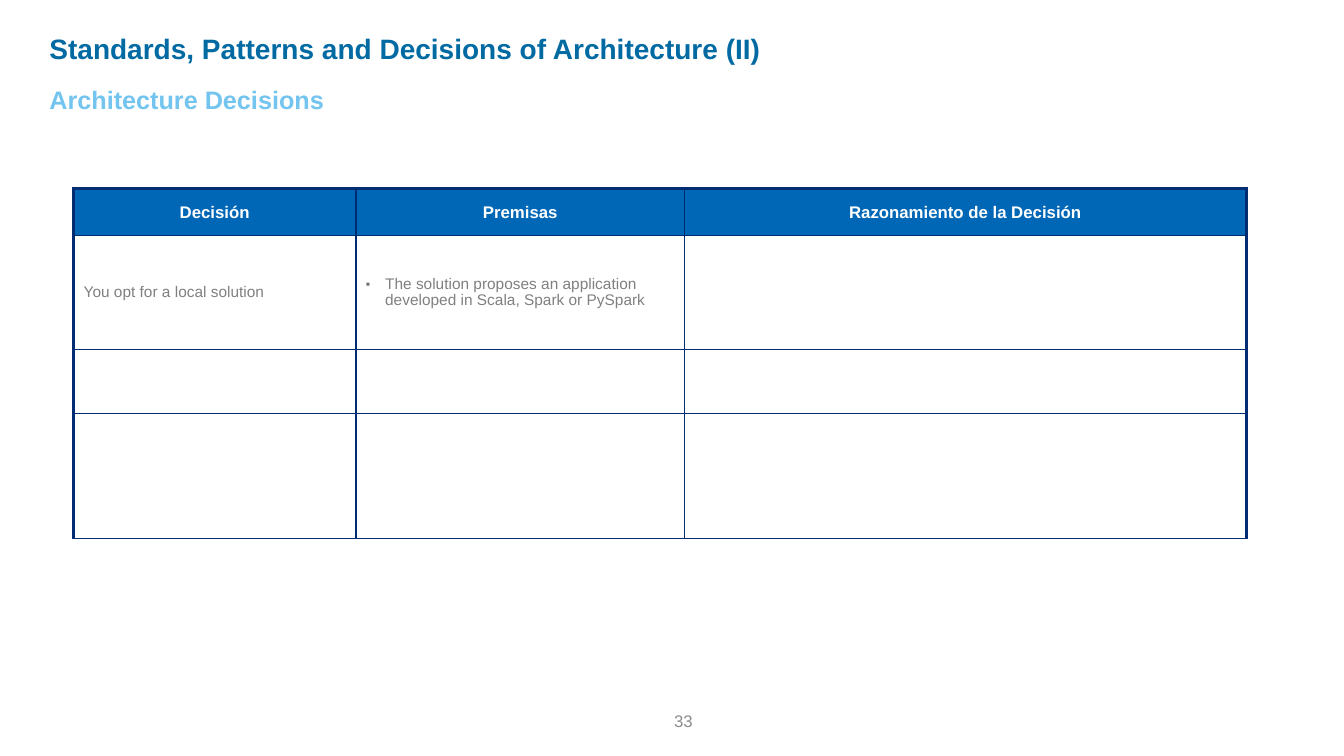
from pptx import Presentation
from pptx.dml.color import RGBColor
from pptx.enum.text import MSO_ANCHOR as Anchor, PP_ALIGN as Align
from pptx.oxml.ns import qn
from pptx.util import Pt
from lxml.etree import SubElement

PX = 9144
WHITE = RGBColor(0xFF, 0xFF, 0xFF)
TITLE = RGBColor(0x01, 0x6A, 0xA2)
SUBTITLE = RGBColor(0x73, 0xC4, 0xEF)
HEADER = RGBColor(0x00, 0x67, 0xB7)
NAVY = RGBColor(0x00, 0x2D, 0x72)
GREY = RGBColor(0x80, 0x80, 0x80)
BULLET = RGBColor(0x71, 0x71, 0x71)
NUMBER = RGBColor(0x8C, 0x8C, 0x8C)
THIN, THICK = 1, 2.25


class Deck:
    """Hold the font and the current slide, and draw each kind of element."""

    def __init__(self, width, height, font="Arial"):
        self.prs = Presentation()
        self.prs.slide_width, self.prs.slide_height = width * PX, height * PX
        self.s = self.prs.slides.add_slide(self.prs.slide_layouts[6])
        self.font = font

    def style(self, p, size, color, bold=False, align=Align.LEFT):
        p.alignment = align
        for r in p.runs:
            r.font.name, r.font.size, r.font.bold = self.font, Pt(size), bold
            r.font.color.rgb = color

    def text(self, box, text, size, color, inset=5, anchor=Anchor.TOP, **look):
        tf = self.s.shapes.add_textbox(*(v * PX for v in box)).text_frame
        tf.word_wrap = True
        tf.vertical_anchor = anchor
        tf.margin_left = tf.margin_right = inset * PX
        tf.margin_top = tf.margin_bottom = 5 * PX
        tf.text = text
        self.style(tf.paragraphs[0], size, color, **look)

    def borders(self, cell, widths):
        tcPr = cell._tc.get_or_add_tcPr()
        for side, width in widths.items():
            ln = SubElement(tcPr, qn(f"a:ln{side}"), w=str(Pt(width)))
            fill = SubElement(ln, qn("a:solidFill"))
            SubElement(fill, qn("a:srgbClr"), val=str(NAVY))

    def bullet(self, p, indent):
        pPr = p._p.get_or_add_pPr()
        pPr.set("marL", str(indent * PX))
        pPr.set("indent", str(-indent * PX))
        color = SubElement(pPr, qn("a:buClr"))
        SubElement(color, qn("a:srgbClr"), val=str(BULLET))
        SubElement(pPr, qn("a:buSzPct"), val="80000")
        SubElement(pPr, qn("a:buFont"), typeface=self.font)
        SubElement(pPr, qn("a:buChar"), char="▪")

    def table(self, left, top, widths, heights, rows, bulleted):
        size = sum(widths) * PX, sum(heights) * PX
        shapes = self.s.shapes
        table = shapes.add_table(len(heights), len(widths), left * PX, top * PX, *size).table
        table.horz_banding = False
        for column, width in zip(table.columns, widths):
            column.width = width * PX
        for row, height in zip(table.rows, heights):
            row.height = height * PX
        for i, row in enumerate(rows):
            for j, text in enumerate(row):
                cell = table.cell(i, j)
                self.borders(cell, {
                    "L": THICK if j == 0 else THIN,
                    "R": THICK if j == len(widths) - 1 else THIN,
                    "T": THICK if i == 0 else THIN,
                    "B": THIN,
                })
                cell.vertical_anchor = Anchor.MIDDLE
                cell.margin_left = cell.margin_right = 10 * PX
                cell.margin_top = cell.margin_bottom = 5 * PX
                cell.text_frame.text = text
                p = cell.text_frame.paragraphs[0]
                if i == 0:
                    cell.fill.solid()
                    cell.fill.fore_color.rgb = HEADER
                    self.style(p, 12, WHITE, bold=True, align=Align.CENTER)
                    continue
                cell.fill.background()
                if text and j == bulleted:
                    self.bullet(p, 19)
                p.line_spacing = 0.93
                self.style(p, 11, GREY)


def main():
    deck = Deck(1333, 750)
    deck.text((334, 695, 363, 40), "33", 12, NUMBER, inset=10,
              anchor=Anchor.MIDDLE, align=Align.RIGHT)
    deck.text((44, 26, 830, 44), "Standards, Patterns and Decisions of Architecture (II)",
              20, TITLE, bold=True)
    deck.text((44, 79, 782, 40), "Architecture Decisions", 18, SUBTITLE, bold=True)
    rows = [
        ("Decisión", "Premisas", "Razonamiento de la Decisión"),
        ("You opt for a local solution",
         "The solution proposes an application developed in Scala, Spark or PySpark", ""),
        ("", "", ""),
        ("", "", ""),
    ]
    deck.table(73, 187, (280, 326, 557), (47, 113, 63, 124), rows, bulleted=1)
    deck.prs.save("out.pptx")


if __name__ == "__main__":
    main()
